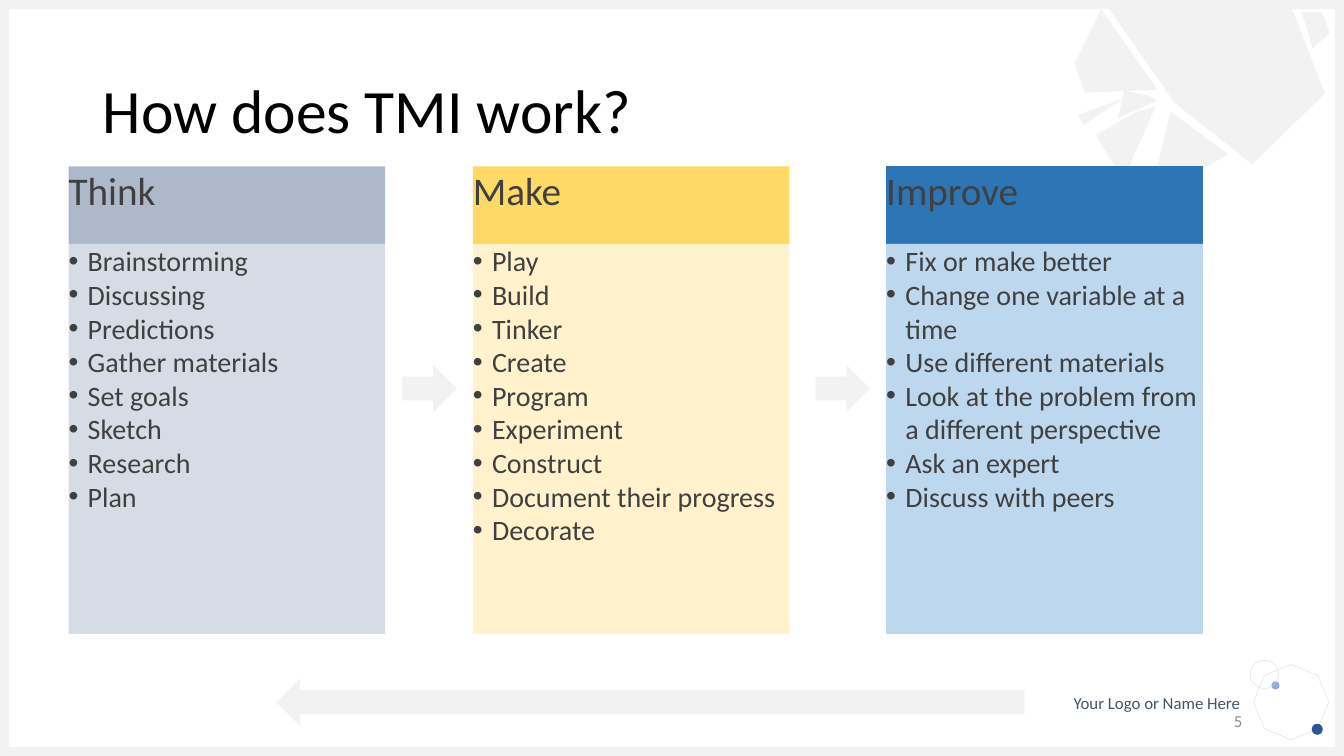
import pptx
import pptx.util
import pptx.dml.color
import pptx.enum.shapes
import pptx.enum.text
import pptx.oxml
import pptx.oxml.ns

Inches = pptx.util.Inches
Pt = pptx.util.Pt
SHAPE = pptx.enum.shapes.MSO_SHAPE
ALIGN = pptx.enum.text.PP_ALIGN
ANCHOR = pptx.enum.text.MSO_ANCHOR

# Content
TITLE = "How does TMI work?"
FOOTER = "Your Logo or Name Here"
PAGE = "5"
STAGES = [
    ("Think", 0.68, "think_head", "think_body", [
        "Brainstorming", "Discussing", "Predictions", "Gather materials",
        "Set goals", "Sketch", "Research", "Plan"]),
    ("Make", 4.69, "make_head", "make_body", [
        "Play", "Build", "Tinker", "Create", "Program", "Experiment",
        "Construct", "Document their progress", "Decorate"]),
    ("Improve", 8.79, "improve_head", "improve_body", [
        "Fix or make better", "Change one variable at a time",
        "Use different materials",
        "Look at the problem from a different perspective",
        "Ask an expert", "Discuss with peers"]),
]
SHARDS = [
    [(12.42, 1.63), (11.65, 1.02), (10.96, 0.03), (12.8, 0.05), (13.14, 0.93)],
    [(10.92, 0.09), (11.48, 0.89), (10.76, 0.92), (10.66, 0.63)],
    [(10.75, 1.24), (10.69, 1.14), (11.14, 0.98)],
    [(13.02, 0.48), (12.91, 0.12), (13.11, 0.12), (13.19, 0.33)],
    [(12.18, 1.53), (11.4, 1.98), (11.61, 1.11)],
    [(11.14, 1.79), (10.87, 1.34), (11.27, 1.11), (11.46, 1.06)],
    [(11.09, 1.17), (11.15, 0.9), (11.39, 0.95), (11.48, 1)],
]
COLORS = {
    "title": "000000", "text": "404040", "footer": "44546A", "page": "8C8C8C",
    "pale": "F2F2F2", "outline": "D9D9D9",
    "dot_light": "8FAADC", "dot_dark": "2F5597",
    "think_head": "ADB9CA", "think_body": "D6DCE5",
    "make_head": "FFD966", "make_body": "FFF2CC",
    "improve_head": "2E75B6", "improve_body": "BDD7EE",
}

# Layout, in inches
SLIDE_W, SLIDE_H, FRAME = 13.33, 7.5, 0.09
COLUMN_W, HEAD_TOP, HEAD_H, BODY_H = 3.14, 1.65, 0.77, 3.87
ARROW_W, ARROW_H, ARROW_TOP, ARROW_GAP = 0.54, 0.47, 3.62, 0.16
BULLET_INDENT = 0.19

deck = pptx.Presentation()
deck.slide_width, deck.slide_height = Inches(SLIDE_W), Inches(SLIDE_H)
slide = deck.slides.add_slide(deck.slide_layouts[6])


def rgb(name):
    return pptx.dml.color.RGBColor.from_string(COLORS[name])


def paint(shape, fill=None, line=None, width=0.25):
    shape.shadow.inherit = False
    if fill:
        shape.fill.solid()
        shape.fill.fore_color.rgb = rgb(fill)
    else:
        shape.fill.background()
    if line:
        shape.line.color.rgb = rgb(line)
        shape.line.width = Pt(width)
    else:
        shape.line.fill.background()


def add_preset(kind, box, fill=None, line=None, width=0.25, rotation=0):
    shape = slide.shapes.add_shape(kind, *map(Inches, box))
    paint(shape, fill, line, width)
    shape.rotation = rotation
    return shape


def write(shape, lines, size, color, align=ALIGN.LEFT, anchor=ANCHOR.TOP,
          inset=True, bullets=False):
    frame = shape.text_frame
    frame.word_wrap = True
    frame.vertical_anchor = anchor
    if not inset:
        frame.margin_left = frame.margin_right = 0
        frame.margin_top = frame.margin_bottom = 0
    frame.text = "\n".join(lines)
    for paragraph in frame.paragraphs:
        paragraph.alignment = align
        paragraph.font.name = "Calibri"
        paragraph.font.size = Pt(size)
        paragraph.font.color.rgb = rgb(color)
        if bullets:
            add_bullet(paragraph)
    return frame


def add_bullet(paragraph):
    properties = paragraph._p.get_or_add_pPr()
    properties.set("marL", str(Inches(BULLET_INDENT)))
    properties.set("indent", str(-Inches(BULLET_INDENT)))
    namespace = pptx.oxml.ns.nsdecls("a")
    marks = [pptx.oxml.parse_xml(f'<a:buFont {namespace} typeface="Arial"/>'),
             pptx.oxml.parse_xml(f'<a:buChar {namespace} char="•"/>')]
    for position, mark in enumerate(marks):
        properties.insert(position, mark)


def add_text(box, *args, **options):
    return write(slide.shapes.add_textbox(*map(Inches, box)), *args, **options)


# Corner ornament and footer
add_preset(SHAPE.OCTAGON, (12.46, 6.62, 0.69, 0.69), line="outline", rotation=22.7)
add_preset(SHAPE.OVAL, (12.61, 6.76, 0.08, 0.08), "dot_light")
add_preset(SHAPE.OVAL, (13.01, 7.18, 0.11, 0.11), "dot_dark")
add_text((9.55, 6.87, 2.75, 0.2), [FOOTER], 12, "footer", ALIGN.RIGHT, inset=False)
add_preset(SHAPE.OVAL, (12.4, 6.55, 0.28, 0.28), line="outline")

# Frame around the slide
for edge in [(0, SLIDE_H - FRAME, SLIDE_W, FRAME), (0, 0, SLIDE_W, FRAME),
             (0, 0, FRAME, SLIDE_H), (SLIDE_W - FRAME, 0, FRAME, SLIDE_H)]:
    add_preset(SHAPE.RECTANGLE, edge, "pale")

# Shards in the top right corner
for start, *rest in SHARDS:
    outline = slide.shapes.build_freeform(*map(Inches, start))
    outline.add_line_segments([tuple(map(Inches, point)) for point in rest], close=True)
    paint(outline.convert_to_shape(), "pale")

# Title and page number
heading = add_text((0.92, 0.4, 11.5, 1.45), [TITLE], 44, "title", anchor=ANCHOR.MIDDLE)
heading.paragraphs[0].line_spacing = 0.9
add_text((9.42, 6.95, 3, 0.4), [PAGE], 12, "page", ALIGN.RIGHT, ANCHOR.MIDDLE)

# Stages, each later one preceded by an arrow
for number, (name, left, head_fill, body_fill, items) in enumerate(STAGES):
    head = add_preset(SHAPE.RECTANGLE, (left, HEAD_TOP, COLUMN_W, HEAD_H), head_fill,
                      line="improve_head" if name == "Improve" else None, width=0.75)
    write(head, [name], 28, "text", inset=False)
    body = add_preset(SHAPE.RECTANGLE,
                      (left, HEAD_TOP + HEAD_H, COLUMN_W, BODY_H), body_fill)
    write(body, items, 20, "text", inset=False, bullets=True)
    if number:
        add_preset(SHAPE.RIGHT_ARROW,
                   (left - ARROW_GAP - ARROW_W, ARROW_TOP, ARROW_W, ARROW_H), "pale")

# Return arrow
add_preset(SHAPE.RIGHT_ARROW, (2.74, 6.73, 7.42, ARROW_H), "pale", rotation=180)

deck.save("out.pptx")
